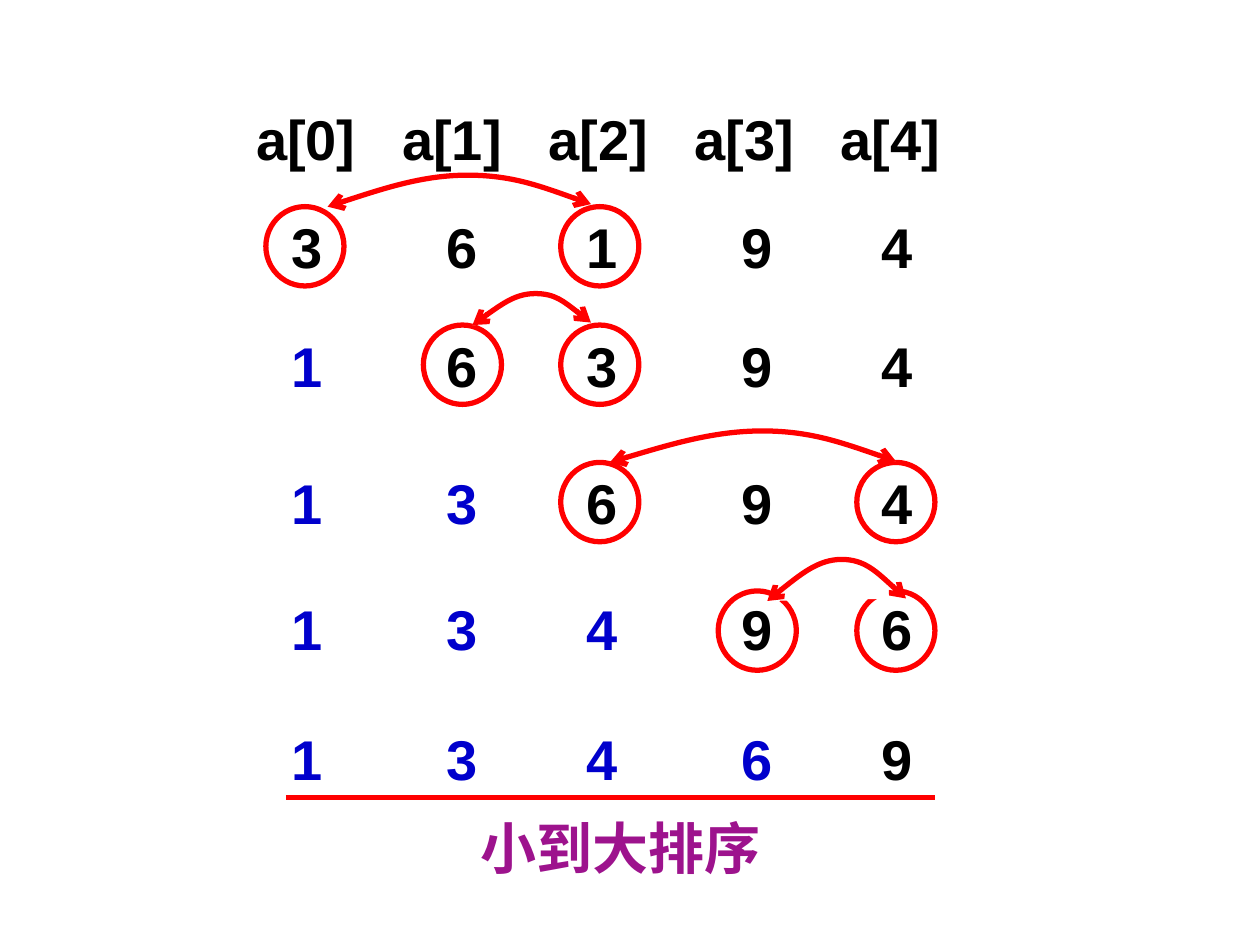
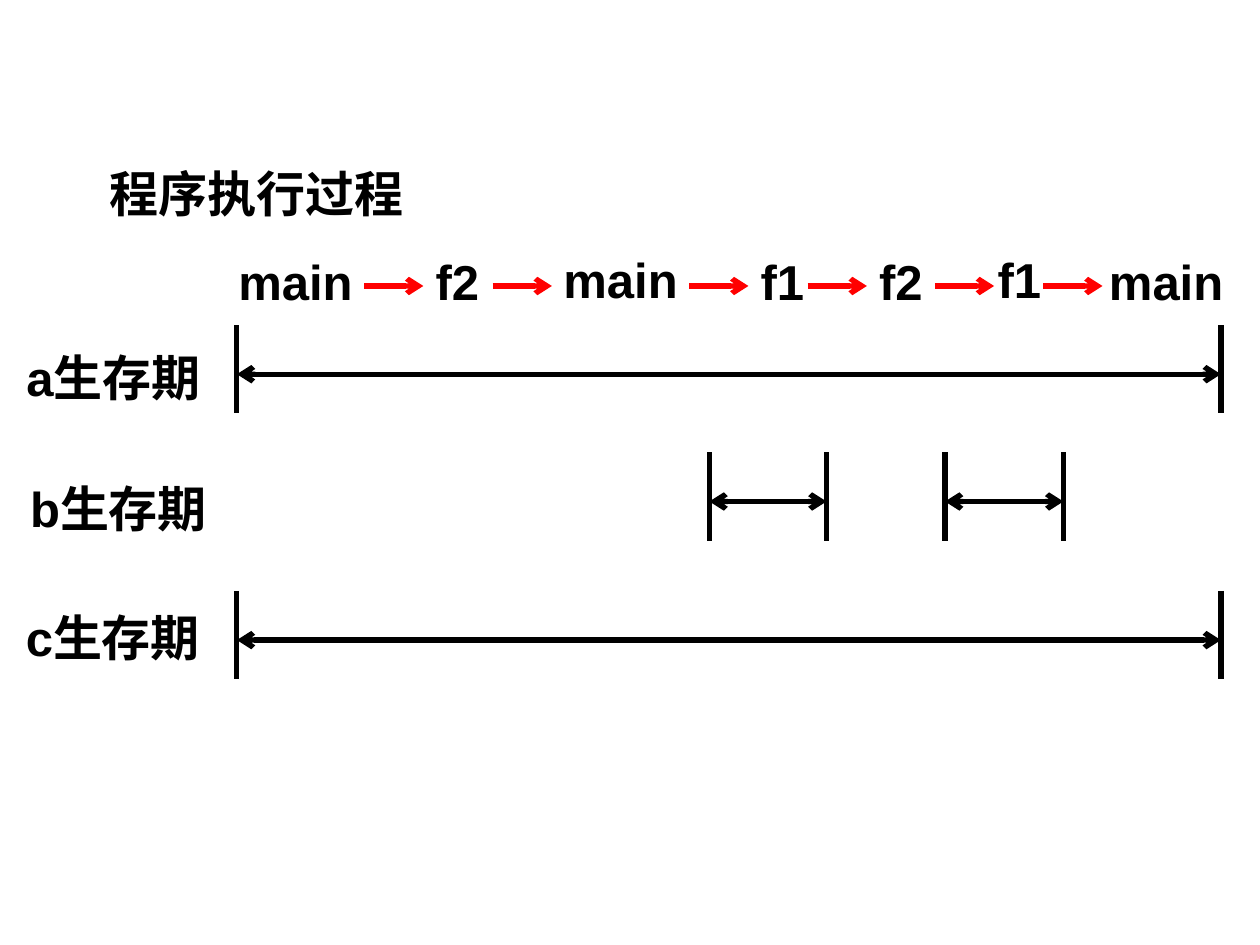
from lxml import etree
from pptx import Presentation
from pptx import util as u
from pptx.dml.color import RGBColor
from pptx.enum import shapes, text
from pptx.oxml.ns import qn

BLACK, WHITE, RED = "000000", "FFFFFF", "FF0000"
BLUE, PURPLE = "0000CC", "9D138D"


def rgb(code):
    return RGBColor.from_string(code)


class Deck:
    font = "Arial"
    width = 3

    def __init__(self):
        self.prs = Presentation()
        self.prs.slide_width = u.Inches(10)
        self.prs.slide_height = u.Inches(7.5)
        self.slide = None

    def page(self):
        self.slide = self.prs.slides.add_slide(self.prs.slide_layouts[6])

    def letter(self, shape, runs, size, tabs=(), color=BLACK):
        """Fill a shape with one paragraph of (text, colour) runs, centred unless it has tabs."""
        frame = shape.text_frame
        frame.word_wrap = True
        frame.auto_size = text.MSO_AUTO_SIZE.SHAPE_TO_FIT_TEXT
        frame.vertical_anchor = text.MSO_ANCHOR.TOP
        para = frame.paragraphs[0]
        para.alignment = text.PP_ALIGN.LEFT if tabs else text.PP_ALIGN.CENTER
        if tabs:
            stops = etree.SubElement(para._p.get_or_add_pPr(), qn("a:tabLst"))
            for pos in tabs:
                etree.SubElement(stops, qn("a:tab"), pos=str(u.Inches(pos)), algn="ctr")
        font = para.font
        font.name, font.size, font.bold = self.font, u.Pt(size), True
        font.color.rgb = rgb(color)
        for words, tint in runs:
            run = para.add_run()
            run.text = words
            if tint != color:
                run.font.color.rgb = rgb(tint)

    def text(self, x, y, w, runs, tabs=(), color=BLACK):
        box = self.slide.shapes.add_textbox(*map(u.Inches, (x, y, w, 0.64)))
        self.letter(box, runs, 32, tabs, color)

    def label(self, x, y, w, words):
        box = self.slide.shapes.add_shape(
            shapes.MSO_SHAPE.RECTANGLE, *map(u.Inches, (x, y, w, 0.57)))
        box.shadow.inherit = False
        box.fill.solid()
        box.fill.fore_color.rgb = rgb(WHITE)
        box.line.fill.background()
        self.letter(box, [(words, BLACK)], 28)

    def stroke(self, shape, color, ends=()):
        """Set the outline; ends lists the tags of the arrowheads, head first."""
        shape.line.color.rgb = rgb(color)
        shape.line.width = u.Pt(self.width)
        for end in ends:
            etree.SubElement(shape.line._get_or_add_ln(), qn(end), type="arrow")

    def ring(self, x, y):
        oval = self.slide.shapes.add_shape(
            shapes.MSO_SHAPE.OVAL, *map(u.Inches, (x, y, 0.62, 0.63)))
        oval.shadow.inherit = False
        oval.fill.background()
        self.stroke(oval, RED)

    def line(self, x1, y1, x2, y2, color=BLACK, ends=()):
        line = self.slide.shapes.add_connector(
            shapes.MSO_CONNECTOR.STRAIGHT, *map(u.Inches, (x1, y1, x2, y2)))
        self.stroke(line, color, ends)
        etree.SubElement(line._element.spPr, qn("a:effectLst"))

    def swap(self, start, end, top, mid):
        """Draw a two-headed arc of two Bezier curves that meet at (mid, top)."""
        (x1, y1), (x2, y2) = start, end
        left, right = mid - x1, x2 - mid
        points = [(x1 + left * 0.34, (y1 + top) / 2), (x1 + left * 0.69, top), (mid, top),
                  (mid + right * 0.36, top), (mid + right * 0.67, (y2 + top) / 2), end]
        build = self.slide.shapes.build_freeform(u.Inches(x1), u.Inches(y1))
        build.add_line_segments([(u.Inches(x), u.Inches(y)) for x, y in points], close=False)
        arc = build.convert_to_shape()
        track = next(arc._element.iter(qn("a:path")))
        steps = track.findall(qn("a:lnTo"))
        for i in (0, 3):
            curve = etree.SubElement(track, qn("a:cubicBezTo"))
            for step in steps[i:i + 3]:
                curve.append(step[0])
                track.remove(step)
        arc.shadow.inherit = False
        arc.fill.solid()
        arc.fill.fore_color.rgb = rgb(WHITE)
        self.stroke(arc, RED, ("a:headEnd", "a:tailEnd"))

    def span(self, x1, x2, y):
        """Draw a lifetime: a two-headed arrow between two upright bars."""
        self.line(x1, y + 0.39, x2, y + 0.39, ends=("a:headEnd", "a:tailEnd"))
        for x in (x1, x2):
            self.line(x, y, x, y + 0.7)


def sort_page(deck):
    deck.page()
    left, wide = 1.48, 6.56
    heads = "".join(f"\ta[{i}]" for i in range(5))
    deck.text(left, 0.78, wide, [(heads, BLACK)], [0.85 + 1.16 * i for i in range(5)])

    rings = (2.11, 3.36, 4.45, 5.7, 6.8)
    tabs = (0.86, 2.09, 3.2, 4.43, 5.54)
    # text top, digits, columns swapped, ring top, arc (start, end, top, middle)
    rows = [
        (1.64, "36194", (0, 2), 1.64, ((2.6, 1.64), (4.69, 1.62), 1.39, 3.71)),
        (2.58, "16394", (1, 2), 2.58, ((3.75, 2.58), (4.69, 2.56), 2.33, 4.25)),
        (3.67, "13694", (2, 4), 3.67, ((4.84, 3.67), (7.11, 3.66), 3.42, 6.05)),
        (4.67, "13496", (3, 4), 4.69, ((6.09, 4.77), (7.19, 4.75), 4.44, 6.68)),
        (5.7, "13469", (), None, None),
    ]
    for done, (y, digits, pair, top, arc) in enumerate(rows):
        cells = ["\t" + d for d in digits]
        parts = [("".join(cells[:done]), BLUE), ("".join(cells[done:]), BLACK)]
        deck.text(left, y, wide, [part for part in parts if part[0]], tabs)
        for col in pair:
            deck.ring(rings[col], top)
        if arc:
            deck.swap(*arc)

    deck.text(2.97, 6.41, 3.91, [("小到大排序", PURPLE)], color=PURPLE)
    deck.line(2.27, 6.33, 7.42, 6.33, RED)


def life_page(deck):
    deck.page()
    for x, y, w, name in ((0, 2.71, 1.8, "a"), (0, 3.75, 1.88, "b"), (-0.08, 4.77, 1.95, "c")):
        deck.label(x, y, w, name + "生存期")
    calls = [(1.64, 1.95, 1.41, "main"), (3.2, 1.95, 0.86, "f2"), (4.22, 1.93, 1.41, "main"),
             (5.78, 1.95, 0.86, "f1"), (6.72, 1.95, 0.86, "f2"), (7.66, 1.93, 0.86, "f1"),
             (8.67, 1.95, 1.17, "main")]
    for call in calls:
        deck.label(*call)
    for x in (2.89, 3.91, 5.47, 6.41, 7.42, 8.28):
        deck.line(x, 2.27, x + 0.47, 2.27, RED, ("a:tailEnd",))
    deck.label(0.55, 1.25, 2.97, "程序执行过程")
    for life in ((1.88, 9.69, 2.58), (5.63, 6.56, 3.59), (7.5, 8.44, 3.59), (1.88, 9.69, 4.69)):
        deck.span(*life)


def main():
    deck = Deck()
    sort_page(deck)
    life_page(deck)
    deck.prs.save("out.pptx")


if __name__ == "__main__":
    main()
